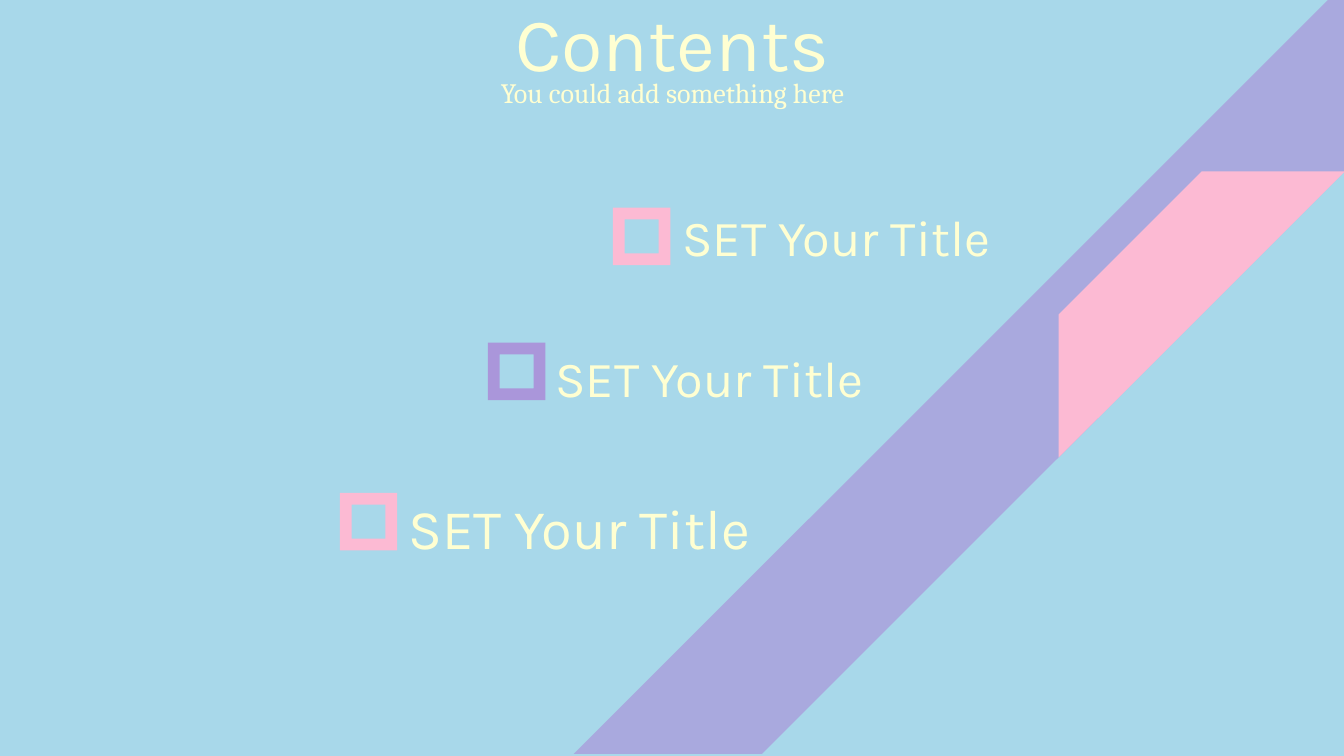
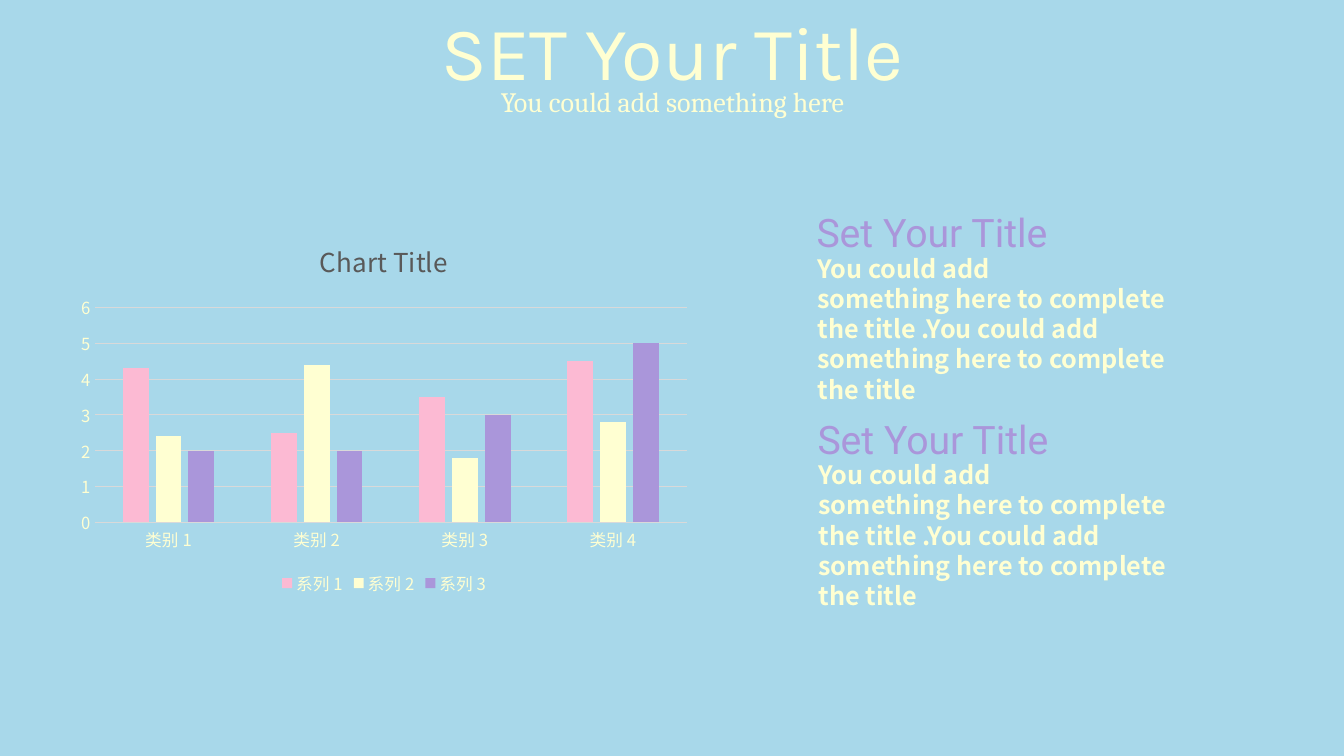
from lxml import etree
from pptx import Presentation
from pptx.chart.data import CategoryChartData
from pptx.dml.color import RGBColor
from pptx.enum.chart import XL_CHART_TYPE as Chart, XL_LEGEND_POSITION as Legend, XL_TICK_MARK as Tick
from pptx.enum.shapes import MSO_SHAPE as Shape
from pptx.enum.text import MSO_ANCHOR as Anchor, MSO_AUTO_SIZE as Auto, PP_ALIGN as Align
from pptx.oxml.ns import qn
from pptx.util import Inches, Pt

# Content
SUB = "You could add something here"
# left and top of the frame, text, colour, text size, text left, top and width
ITEMS = [
    (6.08, 2.06, "SET Your Title", "pink", 36, 6.67, 2.0, 4.21),
    (4.84, 3.4, "SET Your Title", "purple", 36, 5.41, 3.39, 3.58),
    (3.37, 4.89, "SET Your Title", "pink", 40, 3.95, 4.85, 3.85),
]
CATS = ["类别 1", "类别 2", "类别 3", "类别 4"]
SERIES = [
    ("系列 1", (4.3, 2.5, 3.5, 4.5), "pink"),
    ("系列 2", (2.4, 4.4, 1.8, 2.8), "cream"),
    ("系列 3", (2, 2, 3, 5), "purple"),
]
BODY = [
    "You could add",
    "something here to complete the title .You could add something here to complete the title",
]
NOTES = [(8.0, 2.02, "Set Your Title", BODY), (8.01, 4.07, "Set Your Title", BODY)]

# Shared style
HUES = {"sky": "A8D8EA", "cream": "FFFFD2", "pink": "FCBAD3",
        "purple": "AA96DA", "grid": "D9D9D9", "grey": "595959"}
HEAD, SERIF, SANS, PLAIN = "Karla", "Cambria", "Noto Sans CJK SC", "Roboto"


def rgb(hue):
    return RGBColor.from_string(HUES[hue])


def style(font, face, size, hue, bold=False):
    font.name, font.size, font.bold = face, Pt(size), bold
    font.color.rgb = rgb(hue)


def write(box, lines, face, size, hue, align=Align.LEFT, bold=False):
    frame = box.text_frame
    frame.text = "\n".join(lines)
    frame.word_wrap = True
    frame.auto_size = Auto.SHAPE_TO_FIT_TEXT
    frame.vertical_anchor = Anchor.TOP
    for para in frame.paragraphs:
        para.alignment = align
        style(para.font, face, size, hue, bold)


def label(slide, area, lines, *look, **more):
    box = slide.shapes.add_textbox(*map(Inches, area))
    write(box, lines, *look, **more)


def draw(slide, kind, x, y, side, hue, adj=None):
    part = slide.shapes.add_shape(kind, *map(Inches, (x, y, side, side)))
    part.shadow.inherit = False
    part.fill.solid()
    part.fill.fore_color.rgb = rgb(hue)
    part.line.fill.background()
    if adj is not None:
        part.adjustments[0] = adj
    return part


def start(title, top):
    slide = prs.slides.add_slide(prs.slide_layouts[5])
    head = slide.shapes.title
    head.left, head.top, head.width, head.height = map(Inches, (3.68, top, 5.98, 1.01))
    write(head, [title], HEAD, 54, "cream", Align.CENTER)
    label(slide, (4.47, top + 0.79, 4.4, 0.44), [SUB], SERIF, 20, "cream", Align.CENTER)
    return slide


prs = Presentation()
prs.slide_width, prs.slide_height = Inches(13.33), Inches(7.5)
back = prs.slide_master.background.fill
back.solid()
back.fore_color.rgb = rgb("sky")

# Contents slide: stripes, then framed items
slide = start("Contents", -0.09)
stripe = draw(slide, Shape.DIAGONAL_STRIPE, 5.69, -0.17, 7.65, "purple", 0.756)
stripe.rotation = 180
tint = stripe._element.spPr.find(qn("a:solidFill"))[0]
etree.SubElement(tint, qn("a:alpha")).set("val", "70000")
draw(slide, Shape.DIAGONAL_STRIPE, 10.5, 1.7, 2.84, "pink")
for x, y, text, hue, size, left, top, width in ITEMS:
    draw(slide, Shape.FRAME, x, y, 0.57, hue, 0.205)
    label(slide, (left, top, width, 0.71), [text], HEAD, size, "cream")

# Chart slide
slide = start("SET Your Title", 0)
data = CategoryChartData()
data.categories = CATS
for name, vals, hue in SERIES:
    data.add_series(name, vals)
area = map(Inches, (0.68, 2.19, 6.26, 3.76))
chart = slide.shapes.add_chart(Chart.COLUMN_CLUSTERED, *area, data).chart
chart.font.name, chart.font.size = SANS, Pt(10)
chart.has_title = True
chart.chart_title.text_frame.text = "Chart Title"
style(chart.chart_title.text_frame.paragraphs[0].font, SANS, 18.6, "grey")
chart.chart_title.include_in_layout = False

plot = chart.plots[0]
plot.gap_width, plot.overlap, plot.vary_by_categories = 219, -27, False
for bars, (name, vals, hue) in zip(plot.series, SERIES):
    bars.format.fill.solid()
    bars.format.fill.fore_color.rgb = rgb(hue)
    bars.invert_if_negative = False

# Axes and legend
cat, val = chart.category_axis, chart.value_axis
for axis in (cat, val):
    axis.major_tick_mark = axis.minor_tick_mark = Tick.NONE
    style(axis.tick_labels.font, SANS, 11.9, "cream")
val.minimum_scale, val.maximum_scale, val.major_unit = 0, 6, 1
val.format.line.fill.background()
for line in (cat.format.line, val.major_gridlines.format.line):
    line.color.rgb, line.width = rgb("grid"), Pt(0.75)
chart.has_legend = True
chart.legend.position = Legend.BOTTOM
chart.legend.include_in_layout = False
style(chart.legend.font, SANS, 11.9, "cream")

# Notes beside the chart
for x, y, text, body in NOTES:
    label(slide, (x, y, 2.78, 0.57), [text], PLAIN, 28, "purple")
    label(slide, (x + 0.01, y + 0.44, 3.86, 1.62), body, SANS, 18, "cream", bold=True)

prs.save("out.pptx")
